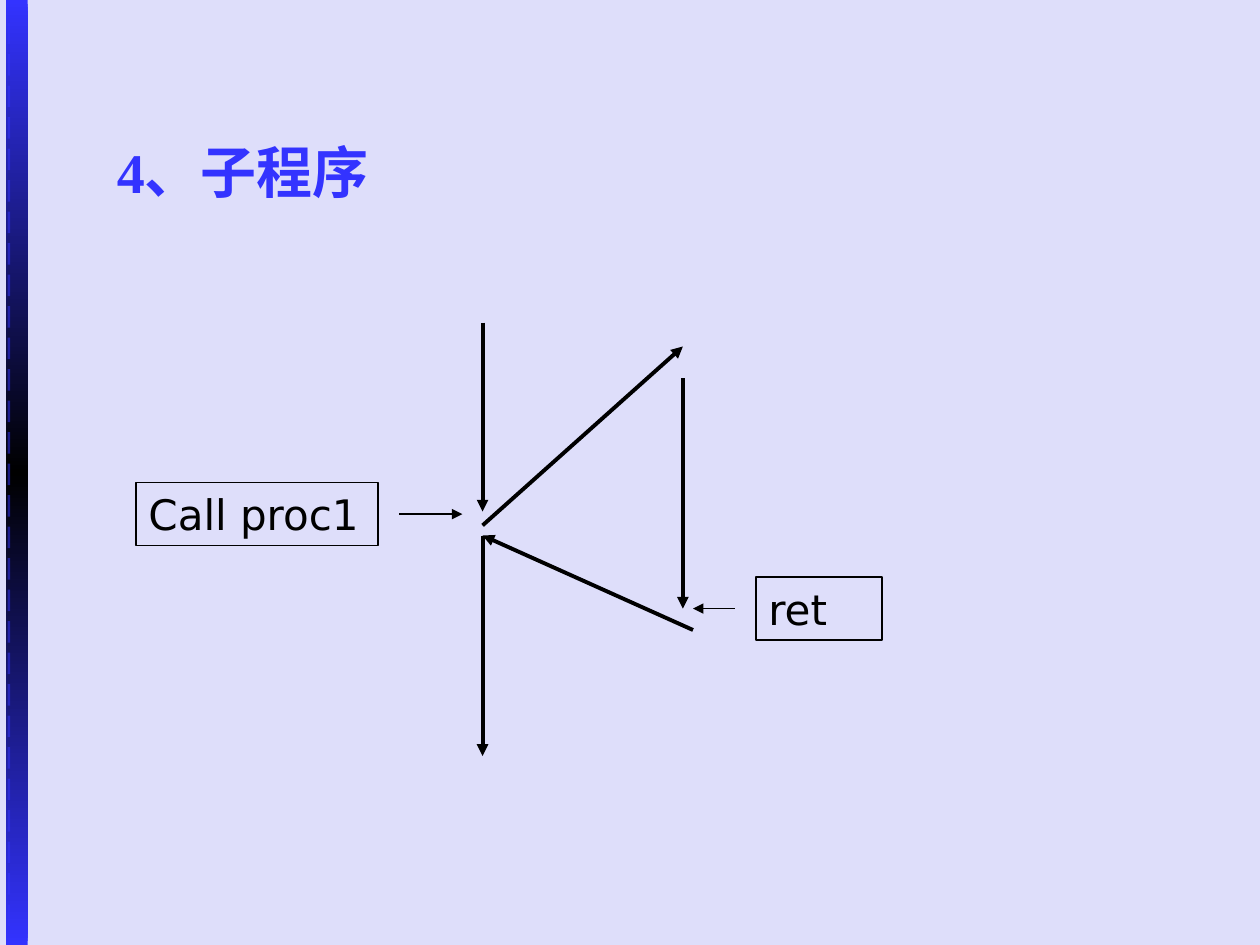
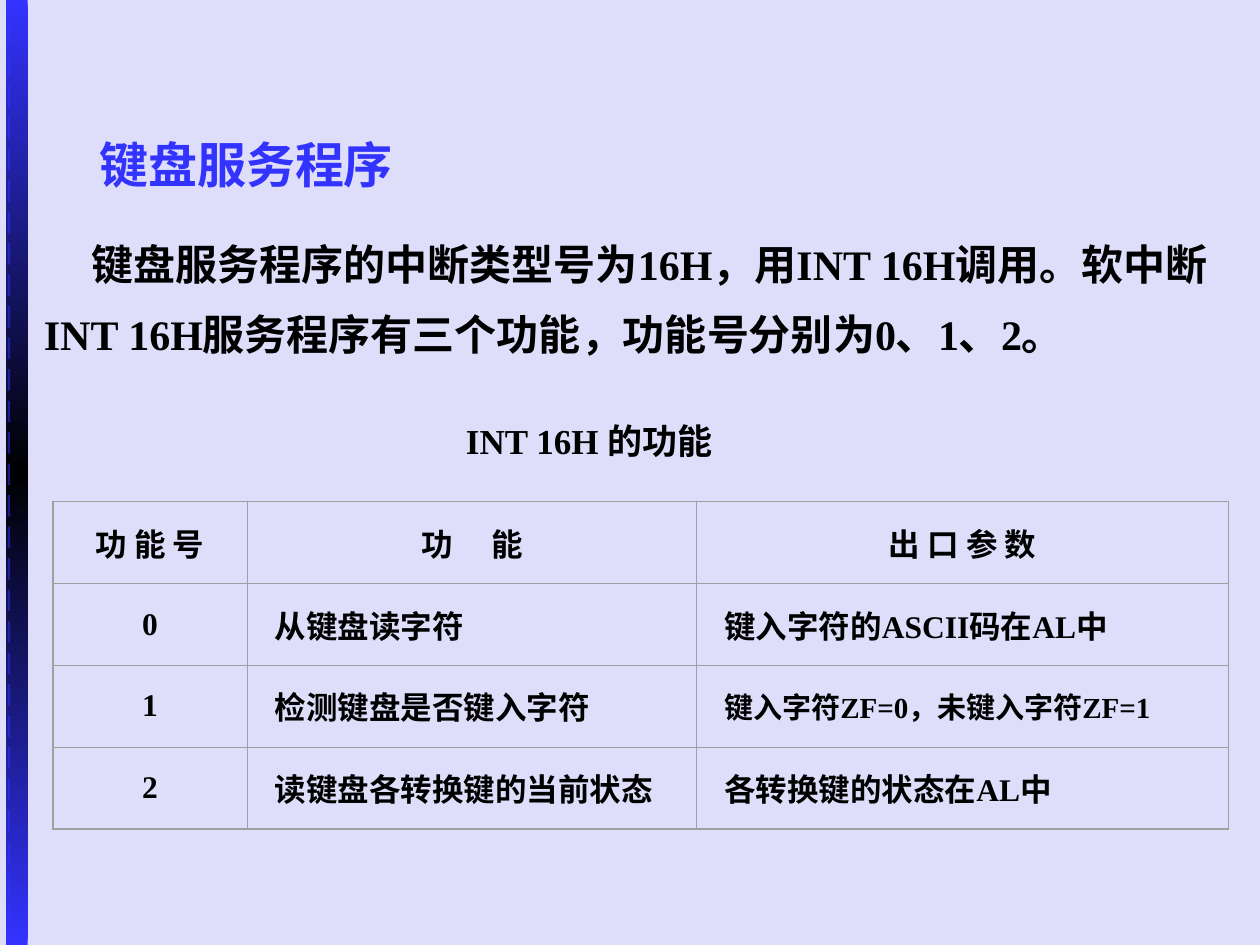
from copy import deepcopy

from pptx import Presentation
from pptx.dml.color import RGBColor
from pptx.enum.shapes import MSO_CONNECTOR, MSO_SHAPE
from pptx.enum.text import MSO_ANCHOR, PP_ALIGN
from pptx.oxml import parse_xml
from pptx.oxml.ns import nsdecls, qn
from pptx.oxml.xmlchemy import OxmlElement
from pptx.util import Inches, Pt

COLORS = {
    "background": "DEDEFA",
    "accent": "3333FF",
    "band_middle": "000000",
    "text": "000000",
    "grid": "A0A0A0",
}
SERIF, SANS = "Times New Roman", "DejaVu Sans"
TITLE = {"name": SERIF, "bold": True, "color": "accent"}
BODY = {"name": SERIF, "bold": True, "color": "text"}
LABEL = {"name": SANS, "size": Pt(24), "color": "text"}

DASH_COUNT, DASH_TOP, DASH_STEP = 29, 0.18, 0.25

TABLE_ROWS = [
    ("功 能 号", "功 能", "出 口 参 数"),
    ("0", "从键盘读字符", "键入字符的ASCII码在AL中"),
    ("1", "检测键盘是否键入字符", "键入字符ZF=0，未键入字符ZF=1"),
    ("2", "读键盘各转换键的当前状态", "各转换键的状态在AL中"),
]
COLUMN_WIDTHS = (1.54, 3.57, 4.22)
ROW_HEIGHT = 0.65


def rgb(name):
    return RGBColor.from_string(COLORS[name])


def write(p, text, style):
    r = p.add_run()
    r.text = text
    for key, value in style.items():
        if key == "color":
            r.font.color.rgb = rgb(value)
        else:
            setattr(r.font, key, value)
    return r


def add_bar(s, left, top, width, height):
    sp = s.shapes.add_shape(MSO_SHAPE.RECTANGLE, Inches(left), Inches(top),
                            Inches(width), Inches(height))
    sp.shadow.inherit = False
    sp.line.fill.background()
    return sp


def add_side_band(s):
    """Draw the gradient band and the faint dashes along the left edge."""
    band = add_bar(s, 0.05, 0, 0.17, 7.5)
    band.fill.gradient()
    band.fill.gradient_angle = 90
    for stop in band.fill.gradient_stops:
        stop.color.rgb = rgb("accent")
    stops = band._element.spPr.find(qn("a:gradFill")).find(qn("a:gsLst"))
    stops.insert(1, deepcopy(stops[0]))
    middle = band.fill.gradient_stops[1]
    middle.position = 0.5
    middle.color.rgb = rgb("band_middle")

    for i in range(DASH_COUNT):
        dash = add_bar(s, 0.06, DASH_TOP + i * DASH_STEP, 0.02, 0.17)
        dash.fill.solid()
        dash.fill.fore_color.rgb = rgb("accent")
        alpha = OxmlElement("a:alpha")
        alpha.set("val", "50000")
        dash._element.spPr.find(qn("a:solidFill"))[0].append(alpha)


def add_slide(prs):
    s = prs.slides.add_slide(prs.slide_layouts[6])
    add_side_band(s)
    return s


def add_text(s, left, top, width, height, wrap=True):
    tb = s.shapes.add_textbox(Inches(left), Inches(top), Inches(width), Inches(height))
    tb.text_frame.word_wrap = wrap
    return tb.text_frame


def add_label(s, text, left, top, width):
    sp = s.shapes.add_shape(MSO_SHAPE.RECTANGLE, Inches(left), Inches(top),
                            Inches(width), Inches(0.5))
    sp.shadow.inherit = False
    sp.fill.background()
    sp.line.color.rgb = rgb("text")
    sp.line.width = Pt(0.75)
    tf = sp.text_frame
    tf.vertical_anchor = MSO_ANCHOR.TOP
    p = tf.paragraphs[0]
    p.alignment = PP_ALIGN.LEFT
    write(p, text, LABEL)


def add_arrow(s, start, end, width):
    x1, y1, x2, y2 = (Inches(v) for v in (*start, *end))
    line = s.shapes.add_connector(MSO_CONNECTOR.STRAIGHT, x1, y1, x2, y2)
    line.line.color.rgb = rgb("text")
    line.line.width = Pt(width)
    head = OxmlElement("a:tailEnd")
    head.set("type", "triangle")
    line.line._get_or_add_ln().append(head)
    line._element.spPr.append(OxmlElement("a:effectLst"))


def set_borders(cell, outer_sides):
    tcPr = cell._tc.get_or_add_tcPr()
    for side in "LRTB":
        width = Pt(1 if side in outer_sides else 0.5)
        tcPr.append(parse_xml(
            f'<a:ln{side} {nsdecls("a")} w="{width}"><a:solidFill>'
            f'<a:srgbClr val="{COLORS["grid"]}"/></a:solidFill></a:ln{side}>'))


def add_table(s, left, top):
    n_rows, n_cols = len(TABLE_ROWS), len(COLUMN_WIDTHS)
    table = s.shapes.add_table(n_rows, n_cols, Inches(left), Inches(top),
                               Inches(sum(COLUMN_WIDTHS)),
                               Inches(ROW_HEIGHT * n_rows)).table
    table.first_row = table.horz_banding = False
    for column, width in zip(table.columns, COLUMN_WIDTHS):
        column.width = Inches(width)
    for i, texts in enumerate(TABLE_ROWS):
        table.rows[i].height = Inches(ROW_HEIGHT)
        for j, text in enumerate(texts):
            cell = table.cell(i, j)
            edges = {"T": i == 0, "B": i == n_rows - 1,
                     "L": j == 0, "R": j == n_cols - 1}
            set_borders(cell, [side for side, outer in edges.items() if outer])
            cell.fill.background()
            cell.vertical_anchor = MSO_ANCHOR.MIDDLE
            cell.margin_left = cell.margin_right = Inches(0.22)
            p = cell.text_frame.paragraphs[0]
            centred = i == 0 or j == 0
            p.alignment = PP_ALIGN.CENTER if centred else PP_ALIGN.LEFT
            size = 16.6 if "ZF" in text else 18
            r = write(p, text, {**BODY, "size": Pt(size)})
            if text == "功 能":
                r._r.get_or_add_rPr().set("spc", "900")
    return table


def build_subroutine_slide(prs):
    s = add_slide(prs)
    tf = add_text(s, 0.83, 1.04, 8.5, 0.7)
    write(tf.paragraphs[0], "4、子程序", {**TITLE, "size": Pt(32)})

    add_label(s, "Call proc1", 1.08, 3.83, 1.92)
    add_label(s, "ret", 6, 4.58, 1)
    flow = [
        ((3.83, 2.56), (3.83, 4.06)),
        ((3.83, 4.25), (3.83, 6)),
        ((3.83, 4.17), (5.42, 2.75)),
        ((5.42, 3), (5.42, 4.83)),
        ((5.5, 5), (3.83, 4.25)),
    ]
    pointers = [((3.17, 4.08), (3.67, 4.08)), ((5.83, 4.83), (5.5, 4.83))]
    for arrows, width in ((flow, 2.25), (pointers, 0.75)):
        for start, end in arrows:
            add_arrow(s, start, end, width)


def build_keyboard_slide(prs):
    s = add_slide(prs)
    tf = add_text(s, 0.25, 0.84, 9.58, 2.61)
    paragraphs = [
        ("键盘服务程序", TITLE, 28, 0.44, 0),
        ("键盘服务程序的中断类型号为16H，用INT 16H调用。软中断INT 16H服务程序"
         "有三个功能，功能号分别为0、1、2。", BODY, 24, 0.38, 15),
    ]
    for i, (text, style, size, indent, before) in enumerate(paragraphs):
        p = tf.add_paragraph() if i else tf.paragraphs[0]
        p.line_spacing = 1.38
        p.space_before = Pt(before)
        p._p.get_or_add_pPr().set("indent", str(Inches(indent)))
        write(p, text, {**style, "size": Pt(size)})

    caption = add_text(s, 3.6, 3.28, 2.37, 0.44, wrap=False)
    write(caption.paragraphs[0], "INT 16H 的功能", {**BODY, "size": Pt(20)})
    add_table(s, 0.42, 3.98)


def main():
    prs = Presentation()
    prs.slide_width, prs.slide_height = Inches(10), Inches(7.5)
    fill = prs.slide_master.background.fill
    fill.solid()
    fill.fore_color.rgb = rgb("background")
    build_subroutine_slide(prs)
    build_keyboard_slide(prs)
    prs.save("out.pptx")


if __name__ == "__main__":
    main()
